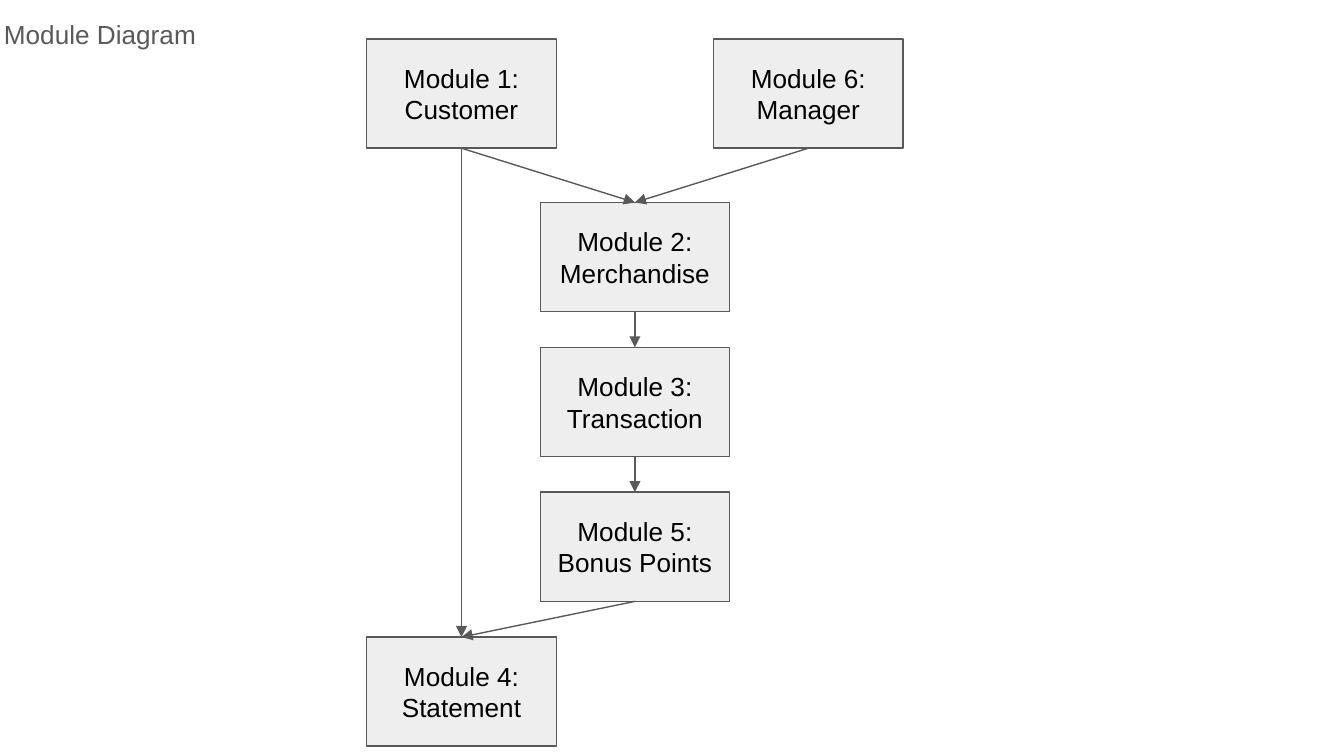
from lxml import etree
from pptx import Presentation
from pptx.dml.color import RGBColor
from pptx.enum.shapes import MSO_CONNECTOR, MSO_SHAPE
from pptx.enum.text import MSO_ANCHOR, PP_ALIGN
from pptx.oxml.ns import qn
from pptx.util import Pt

RECTANGLE = MSO_SHAPE.RECTANGLE
STRAIGHT = MSO_CONNECTOR.STRAIGHT
MIDDLE = MSO_ANCHOR.MIDDLE
CENTER = PP_ALIGN.CENTER

WHITE = RGBColor(0xFF, 0xFF, 0xFF)
BLACK = RGBColor(0x00, 0x00, 0x00)
GRAY = RGBColor(0x59, 0x59, 0x59)
LIGHT_GRAY = RGBColor(0xEE, 0xEE, 0xEE)

FONT = "Arial"
FONT_SIZE = 14
LINE_WIDTH = 0.75
INSET = 7.2
MODULE_WIDTH, MODULE_HEIGHT = 101.5, 58.5
FIRST_COLUMN, COLUMN_STEP = 196.5, 92.9
TOP_ROW = 20.9
SECOND_ROW, ROW_STEP = 108.5, 77.6
TOP_SITE, BOTTOM_SITE = 0, 2

MODULES = {
    2: ("Merchandise", 1, 1),
    1: ("Customer", 0, 0),
    3: ("Transaction", 1, 2),
    4: ("Statement", 0, 4),
    5: ("Bonus Points", 1, 3),
    6: ("Manager", 2, 0),
}
FLOWS = [(6, 2), (1, 2), (2, 3), (3, 5), (5, 4), (1, 4)]


def set_text(frame, text, color):
    """Fill a wrapped text frame with one styled paragraph and return it."""
    frame.word_wrap = True
    frame.margin_left = frame.margin_right = Pt(INSET)
    frame.margin_top = frame.margin_bottom = Pt(INSET)
    frame.text = text
    paragraph = frame.paragraphs[0]
    font = paragraph.runs[0].font
    font.name = FONT
    font.size = Pt(FONT_SIZE)
    font.color.rgb = color
    return paragraph


def add_heading(slide, text):
    """Add the slide heading."""
    heading = slide.shapes.add_textbox(Pt(-5), Pt(0), Pt(221), Pt(21))
    paragraph = set_text(heading.text_frame, text, GRAY)
    paragraph.line_spacing = 1.15
    paragraph.space_after = Pt(16)


def add_module(slide, number, name, column, row):
    """Add a module box at a grid position."""
    left = FIRST_COLUMN + column * COLUMN_STEP
    top = SECOND_ROW + (row - 1) * ROW_STEP if row else TOP_ROW
    module = slide.shapes.add_shape(
        RECTANGLE, Pt(left), Pt(top), Pt(MODULE_WIDTH), Pt(MODULE_HEIGHT))
    module.shadow.inherit = False
    module.fill.solid()
    module.fill.fore_color.rgb = LIGHT_GRAY
    module.line.color.rgb = GRAY
    module.line.width = Pt(LINE_WIDTH)
    module.text_frame.vertical_anchor = MIDDLE
    paragraph = set_text(module.text_frame, f"Module {number}: {name}", BLACK)
    paragraph.alignment = CENTER
    return module


def add_flow(slide, source, target):
    """Add an arrow from the bottom of one module to the top of another."""
    flow = slide.shapes.add_connector(STRAIGHT, Pt(0), Pt(0), Pt(0), Pt(0))
    flow.begin_connect(source, BOTTOM_SITE)
    flow.end_connect(target, TOP_SITE)
    flow.line.color.rgb = GRAY
    flow.line.width = Pt(LINE_WIDTH)
    etree.SubElement(flow.line._get_or_add_ln(), qn("a:tailEnd"), type="triangle")
    etree.SubElement(flow._element.spPr, qn("a:effectLst"))


def main():
    """Build the module diagram slide."""
    presentation = Presentation()
    presentation.slide_width = Pt(720)
    presentation.slide_height = Pt(405)
    slide = presentation.slides.add_slide(presentation.slide_layouts[6])
    slide.background.fill.solid()
    slide.background.fill.fore_color.rgb = WHITE

    add_heading(slide, "Module Diagram")
    modules = {number: add_module(slide, number, *details)
               for number, details in MODULES.items()}
    for source, target in FLOWS:
        add_flow(slide, modules[source], modules[target])

    presentation.save("out.pptx")


main()
